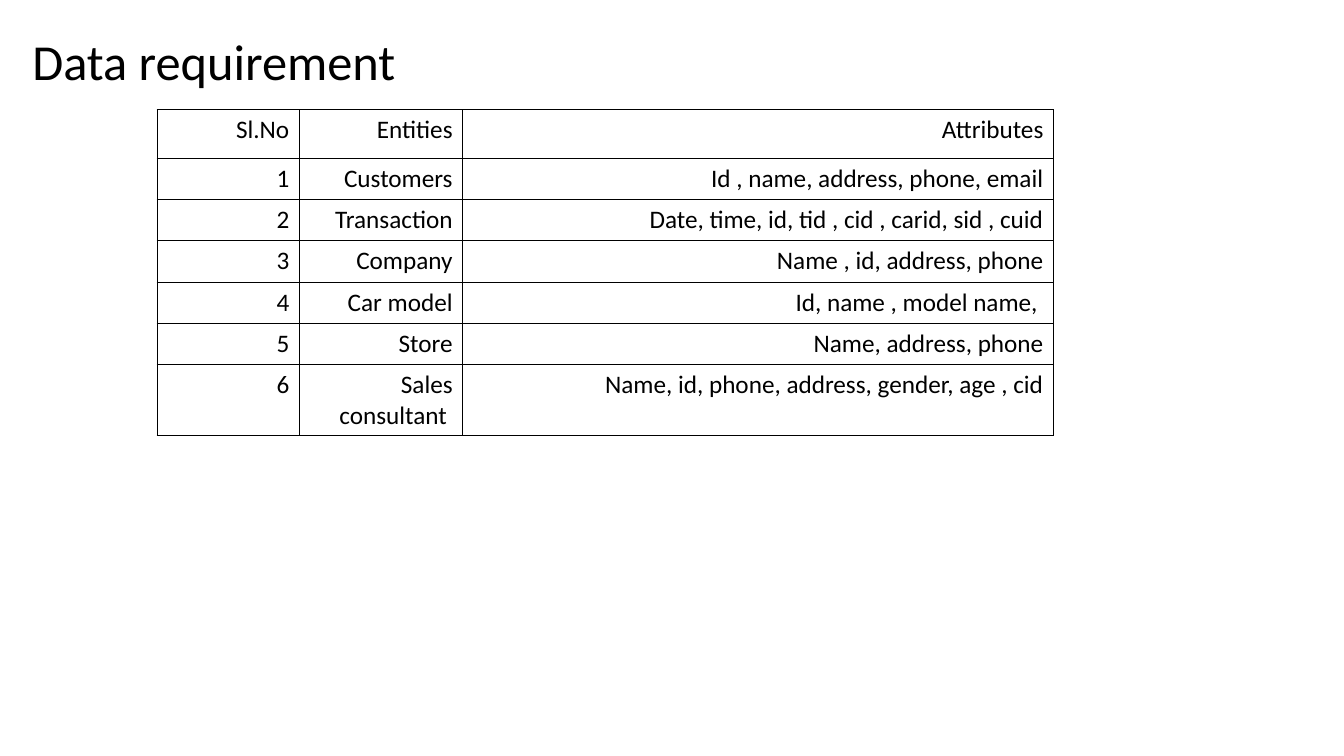
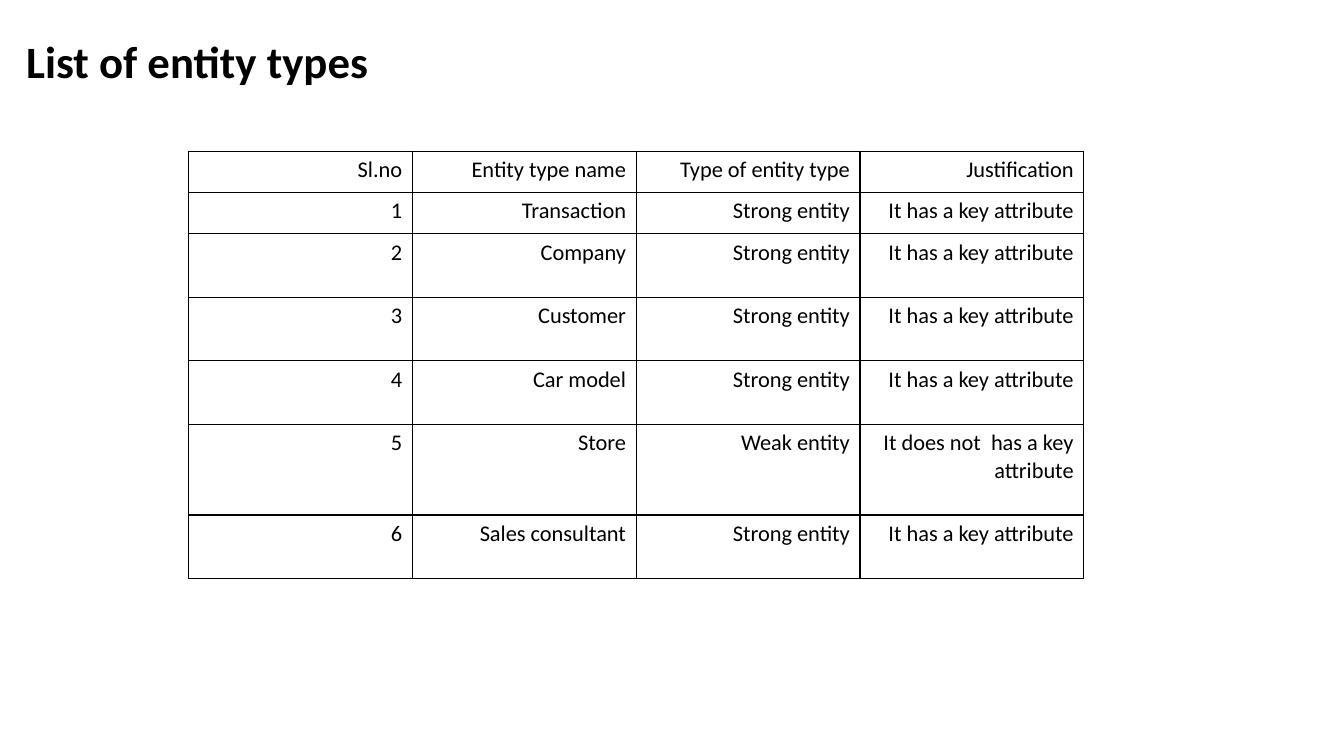
from dataclasses import dataclass

from lxml.etree import SubElement
from pptx import Presentation
from pptx.dml.color import RGBColor
from pptx.enum.text import PP_ALIGN
from pptx.oxml.ns import qn
from pptx.util import Inches, Pt


@dataclass(frozen=True)
class Theme:
    """Colours, font and line width shared by the slides."""

    font: str = "Calibri"
    ink: str = "000000"
    paper: str = "FFFFFF"
    border: float = 1
    title_inset: float = 0.05


THEME = Theme()

REQUIREMENTS = [
    ("Sl.No", "Entities", "Attributes"),
    ("1", "Customers", "Id , name, address, phone, email"),
    ("2", "Transaction", "Date, time, id, tid , cid , carid, sid , cuid"),
    ("3", "Company", "Name , id, address, phone"),
    ("4", "Car model", "Id, name , model name, "),
    ("5", "Store", "Name, address, phone"),
    ("6", "Sales consultant ", "Name, id, phone, address, gender, age , cid"),
]

STRONG = ("Strong entity", "It has a key attribute")
WEAK = ("Weak entity", "It does not  has a key attribute")
ENTITY_TYPES = [
    ("Sl.no", "Entity type name", "Type of entity type", "Justification"),
    ("1", "Transaction", *STRONG),
    ("2", "Company", *STRONG),
    ("3", "Customer", *STRONG),
    ("4", "Car model", *STRONG),
    ("5", "Store", *WEAK),
    ("6", "Sales consultant", *STRONG),
]


def write(paragraph, words, size, bold=False):
    """Add one run in the theme font and ink."""
    run = paragraph.add_run()
    run.text = words
    run.font.name = THEME.font
    run.font.size = Pt(size)
    run.font.bold = bold
    run.font.color.rgb = RGBColor.from_string(THEME.ink)


def add_title(slide, box, words, size, bold=False):
    """Place the slide title in its box."""
    frame = slide.shapes.add_textbox(*map(Inches, box)).text_frame
    frame.word_wrap = True
    inset = Inches(THEME.title_inset)
    frame.margin_left = frame.margin_right = inset
    frame.margin_top = frame.margin_bottom = inset
    write(frame.paragraphs[0], words, size, bold)


def outline(cell):
    """Draw a thin line on all four sides of a cell."""
    properties = cell._tc.get_or_add_tcPr()
    for position, side in enumerate(("lnL", "lnR", "lnT", "lnB")):
        line = SubElement(properties, qn(f"a:{side}"), w=str(Pt(THEME.border)))
        ink = SubElement(line, qn("a:solidFill"))
        SubElement(ink, qn("a:srgbClr"), val=THEME.ink)
        properties.insert(position, line)


def add_grid(slide, corner, widths, heights, records, size):
    """Place a right-aligned, outlined table at the given corner."""
    extent = (sum(widths), sum(heights))
    table = slide.shapes.add_table(
        len(heights), len(widths), *map(Inches, (*corner, *extent))
    ).table
    table.first_row = table.horz_banding = False
    for column, width in zip(table.columns, widths):
        column.width = Inches(width)
    for row, height, record in zip(table.rows, heights, records):
        row.height = Inches(height)
        for cell, words in zip(row.cells, record):
            cell.fill.solid()
            cell.fill.fore_color.rgb = RGBColor.from_string(THEME.paper)
            outline(cell)
            paragraph = cell.text_frame.paragraphs[0]
            paragraph.alignment = PP_ALIGN.RIGHT
            write(paragraph, words, size)


def build_requirements(slide):
    """Build the slide of entities and their attributes."""
    add_title(slide, (0.27, 0.25, 12.71, 0.71), "Data requirement", 36)
    heights = [0.48] + [0.41] * 5 + [0.69]
    add_grid(slide, (1.56, 1.09), [1.41, 1.62, 5.86], heights, REQUIREMENTS, 18)


def build_entity_types(slide):
    """Build the slide of strong and weak entity types."""
    add_title(slide, (0.21, 0.29, 12.58, 0.64), "List of entity types", 32, True)
    heights = [0.41] * 2 + [0.63] * 3 + [0.9, 0.63]
    add_grid(slide, (1.87, 1.5), [2.22] * 4, heights, ENTITY_TYPES, 16)


def main():
    """Build and save the presentation."""
    deck = Presentation()
    deck.slide_width, deck.slide_height = Inches(13.33), Inches(7.5)
    for build in (build_requirements, build_entity_types):
        build(deck.slides.add_slide(deck.slide_layouts[6]))
    deck.save("out.pptx")


if __name__ == "__main__":
    main()
